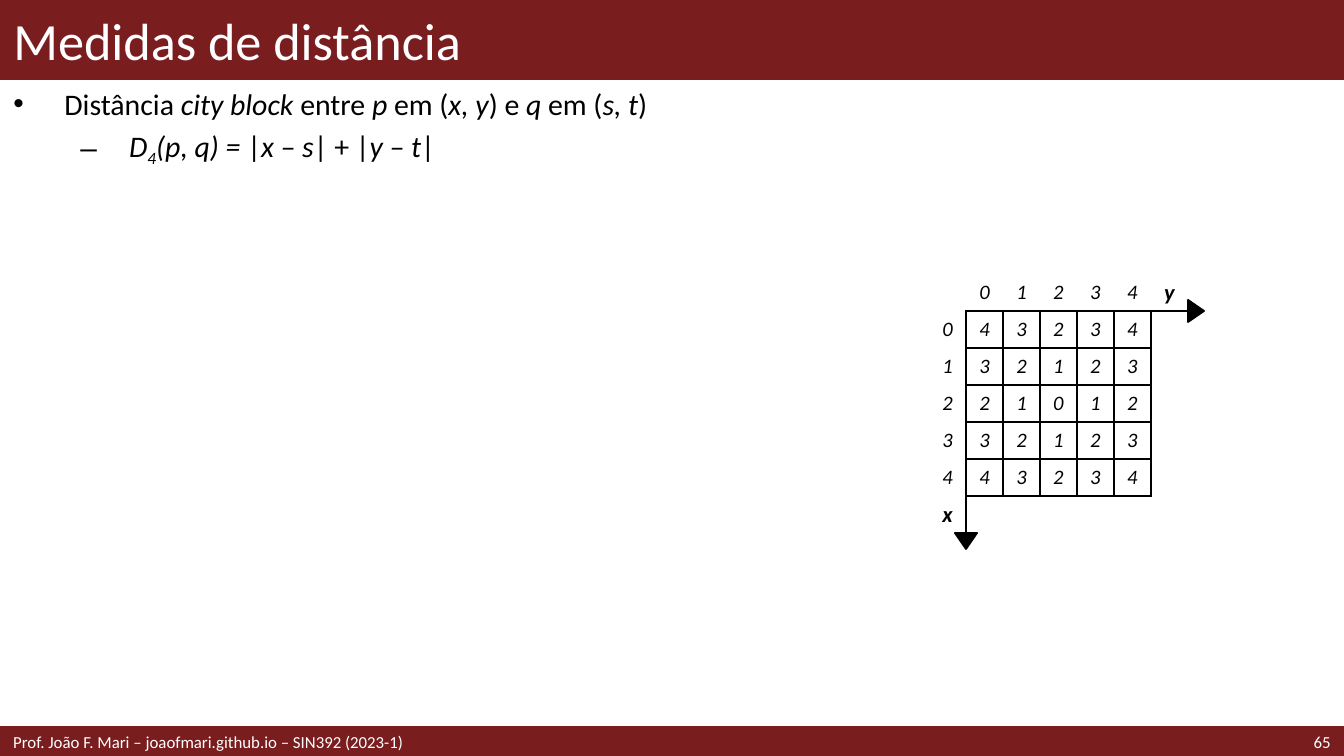
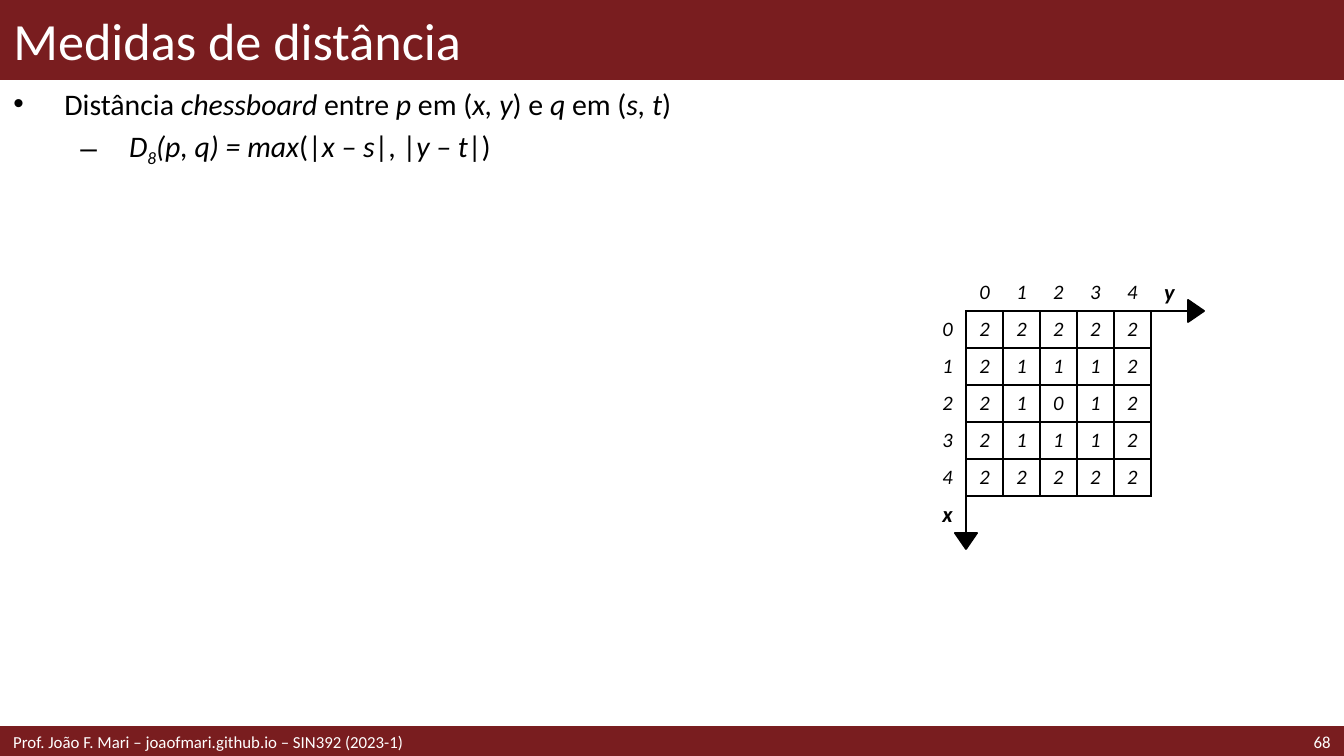
from dataclasses import dataclass

from lxml.etree import SubElement
from pptx import Presentation
from pptx.dml.color import RGBColor
from pptx.enum.shapes import MSO_SHAPE
from pptx.enum.text import MSO_ANCHOR, MSO_AUTO_SIZE, PP_ALIGN
from pptx.oxml.ns import qn
from pptx.util import Emu, Pt

SCALE = 9144000 / 1344
WIDTH, HEIGHT = 1344, 756
BAND, FOOT = 79, 728
CELL, GRID = 37, 5
TABLE_X, TABLE_Y = 929, 274


@dataclass(frozen=True)
class Theme:
    font: str = "Calibri"
    maroon: RGBColor = RGBColor(0x79, 0x1D, 0x1F)
    white: RGBColor = RGBColor(0xFF, 0xFF, 0xFF)
    black: RGBColor = RGBColor(0, 0, 0)
    title: Pt = Pt(28)
    body: Pt = Pt(16)
    axis: Pt = Pt(12)
    cell: Pt = Pt(11)
    footer: Pt = Pt(9)


def px(n):
    return Emu(round(n * SCALE))


def apply(obj, values):
    for name, value in values.items():
        setattr(obj, name, value)


def place(sp, x, y, w, h):
    apply(sp, {"left": px(x), "top": px(y), "width": px(w), "height": px(h)})


def edge_drawn(line, pos):
    return 1 <= line <= GRID + 1 and 1 <= pos <= GRID + (line == 1)


class Deck:
    LEVELS = [("•", 51, -51), ("–", 109, -42)]

    def __init__(self, theme):
        self.theme = theme
        self.prs = Presentation()
        apply(self.prs, {"slide_width": px(WIDTH), "slide_height": px(HEIGHT)})
        self.layout = self.prs.slide_layouts[1]
        self.s = None

    def slide(self, title, number):
        first = self.s is None
        self.s = self.prs.slides.add_slide(self.layout)
        if first:
            self.band(0, BAND, 1)
            self.band(FOOT, HEIGHT - FOOT, 2)
        sp = self.s.shapes.title
        place(sp, 0, 0, WIDTH, BAND)
        self.line(sp.text_frame, title, self.theme.title, PP_ALIGN.LEFT)
        self.textbox("Prof. João F. Mari – joaofmari.github.io – SIN392 (2023-1)", 0, 926, PP_ALIGN.LEFT)
        self.textbox(str(number), 1191, 153, PP_ALIGN.RIGHT)

    def shape(self, kind, x, y, w, h, color, weight):
        sp = self.s.shapes.add_shape(kind, px(x), px(y), px(w), px(h))
        sp.shadow.inherit = False
        sp.fill.solid()
        sp.fill.fore_color.rgb = sp.line.color.rgb = color
        sp.line.width = Pt(weight)
        return sp

    def band(self, y, h, weight):
        sp = self.shape(MSO_SHAPE.RECTANGLE, 0, y, WIDTH, h, self.theme.maroon, weight)
        self.layout.shapes._spTree.insert(2, sp._element)

    def run(self, p, text, size, color, **values):
        r = p.add_run()
        r.text = text
        apply(r.font, {"name": self.theme.font, "size": size, **values})
        r.font.color.rgb = color
        return r

    def line(self, tf, text, size, align):
        apply(tf, {"word_wrap": True, "auto_size": MSO_AUTO_SIZE.NONE,
                   "vertical_anchor": MSO_ANCHOR.MIDDLE})
        p = tf.paragraphs[0]
        p.alignment = align
        self.run(p, text, size, self.theme.white)

    def textbox(self, text, x, w, align):
        sp = self.s.shapes.add_textbox(px(x), px(FOOT), px(w), px(HEIGHT - FOOT))
        self.line(sp.text_frame, text, self.theme.footer, align)

    def rich(self, p, text):
        for i, part in enumerate(text.split("*")):
            for j, piece in enumerate(part.split("_")):
                if piece:
                    r = self.run(p, piece, self.theme.body, self.theme.black, italic=i % 2 == 1)
                    if j % 2:
                        r._r.get_or_add_rPr().set("baseline", "-25000")

    def body(self, *lines):
        sp = self.s.placeholders[1]
        place(sp, 0, BAND, WIDTH, FOOT - BAND)
        tf = sp.text_frame
        apply(tf, {"word_wrap": True, "auto_size": MSO_AUTO_SIZE.NONE})
        for level, text in enumerate(lines):
            p = tf.add_paragraph() if level else tf.paragraphs[0]
            bullet, left, indent = self.LEVELS[level]
            pPr = p._p.get_or_add_pPr()
            pPr.set("marL", str(px(left)))
            pPr.set("indent", str(px(indent)))
            SubElement(pPr, qn("a:buChar")).set("char", bullet)
            apply(p, {"level": level, "space_before": Pt(3.2 if level else 0)})
            self.rich(p, text)

    def borders(self, cell, row, col):
        edges = {"L": (col, row), "R": (col + 1, row), "T": (row, col), "B": (row + 1, col)}
        tcPr = cell._tc.get_or_add_tcPr()
        for side, edge in edges.items():
            ln = SubElement(tcPr, qn(f"a:ln{side}"), w=str(Pt(1)))
            if edge_drawn(*edge):
                fill = SubElement(ln, qn("a:solidFill"))
                SubElement(fill, qn("a:srgbClr"), val=str(self.theme.black))
            else:
                SubElement(ln, qn("a:noFill"))

    def cell(self, cell, text, row, col):
        apply(cell, {"margin_left": 0, "margin_right": 0, "margin_top": 0, "margin_bottom": 0,
                     "vertical_anchor": MSO_ANCHOR.MIDDLE})
        self.borders(cell, row, col)
        cell.fill.background()
        p = cell.text_frame.paragraphs[0]
        p.alignment = PP_ALIGN.CENTER
        if text:
            axis = text in ("x", "y")
            size = self.theme.axis if axis else self.theme.cell
            self.run(p, text, size, self.theme.black, italic=True, bold=axis)
        else:
            p._p.get_or_add_endParaRPr().set("sz", str(int(self.theme.cell.pt * 100)))

    def distance_table(self, distance):
        n, mid = GRID + 2, GRID // 2
        side = px(n * CELL)
        table = self.s.shapes.add_table(n, n, px(TABLE_X), px(TABLE_Y), side, side).table
        apply(table, {"first_row": False, "horz_banding": False})
        for i in range(n):
            table.columns[i].width = table.rows[i].height = px(CELL)
        labels = ["", *map(str, range(GRID))]
        values = [[str(distance(abs(x - mid), abs(y - mid))) for y in range(GRID)] for x in range(GRID)]
        rows = [labels + ["y"]]
        rows += [[str(x), *line, ""] for x, line in enumerate(values)]
        rows.append(["x"] + [""] * (n - 1))
        for row, line in enumerate(rows):
            for col, text in enumerate(line):
                self.cell(table.cell(row, col), text, row, col)

    def arrowhead(self, cx, cy, rotation):
        w, h = 22, 16
        sp = self.shape(MSO_SHAPE.ISOSCELES_TRIANGLE, cx - w / 2, cy - h / 2, w, h,
                        self.theme.black, 1)
        sp.rotation = rotation

    def distance_grid(self, distance):
        self.distance_table(distance)
        x, y = TABLE_X + CELL, TABLE_Y + CELL
        reach = (GRID + 1) * CELL + 8
        self.arrowhead(x + reach, y, 90)
        self.arrowhead(x, y + reach, 180)


def main():
    deck = Deck(Theme())
    measures = [
        (65, "city block", " *D_4_(p, q) = *|*x – s*| + |*y – t*|", lambda dx, dy: dx + dy),
        (68, "chessboard", " *D_8_(p, q) = max*(|*x – s*|, |*y – t*|)", max),
    ]
    for number, name, formula, distance in measures:
        deck.slide("Medidas de distância", number)
        deck.body(f"Distância *{name}* entre *p* em (*x, y*) e *q* em (*s, t*)", formula)
        deck.distance_grid(distance)
    deck.prs.save("out.pptx")


if __name__ == "__main__":
    main()
